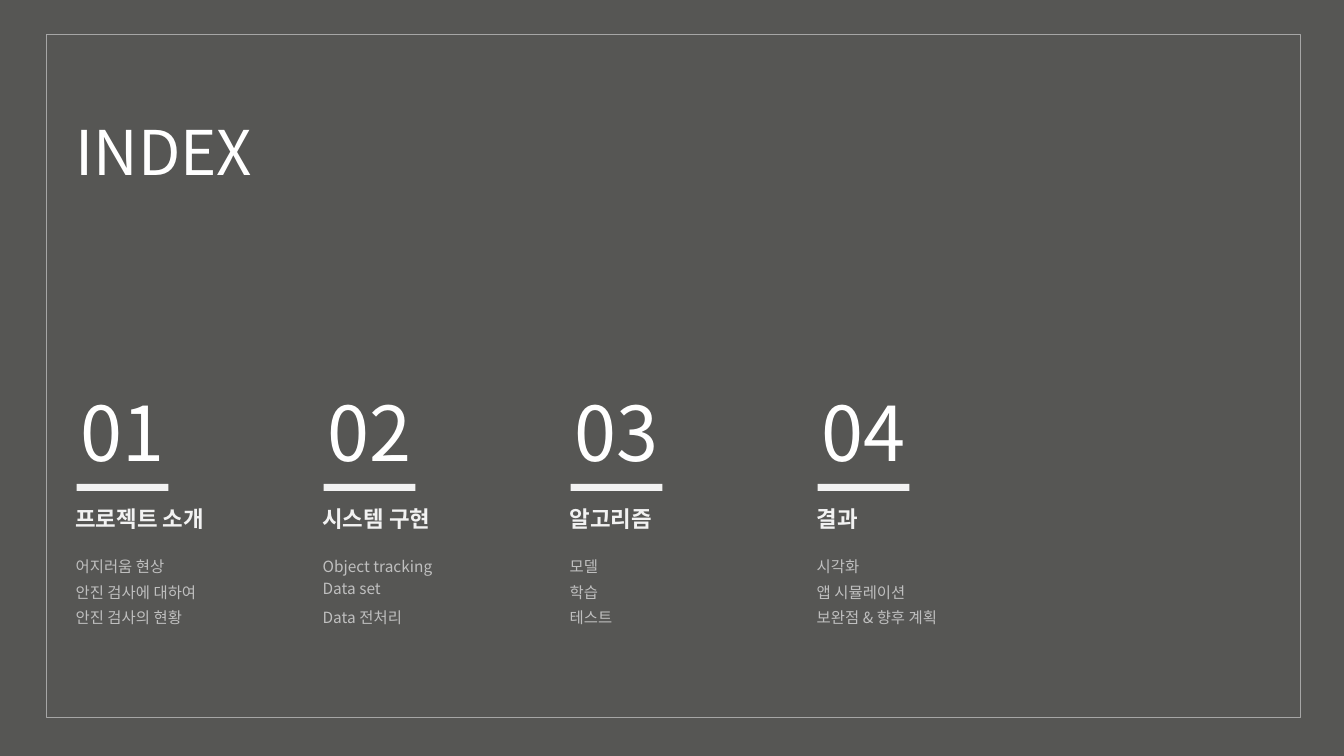
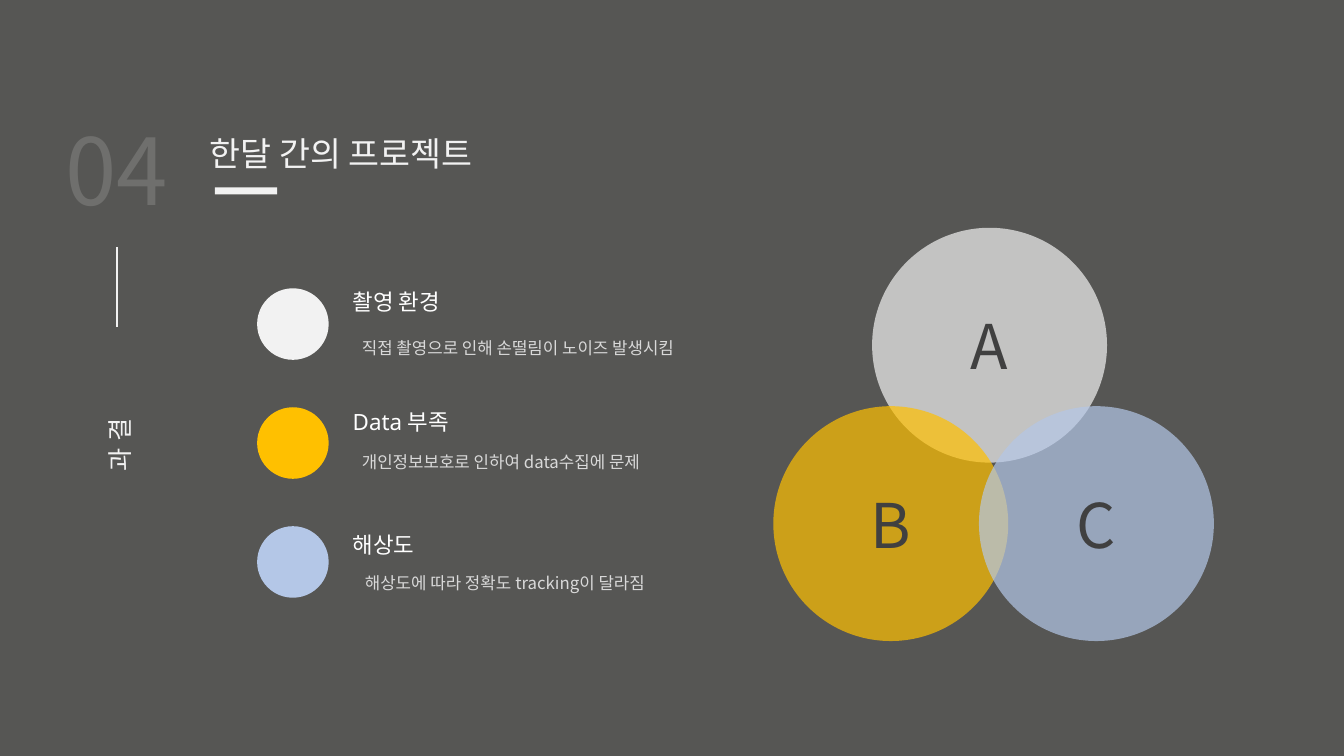
"""Build an index slide and a project review slide."""
from lxml.etree import SubElement
from pptx import Presentation
from pptx.dml.color import RGBColor
from pptx.enum.shapes import MSO_CONNECTOR, MSO_SHAPE
from pptx.enum.text import MSO_ANCHOR, MSO_AUTO_SIZE, PP_ALIGN
from pptx.oxml.ns import qn
from pptx.util import Pt

PX = 9144
KOREAN, LATIN = "Noto Sans CJK KR", "Noto Sans"
GROUND, WHITE, PALE, GOLD, BLUE = "565654", "FFFFFF", "F2F2F2", "FFC000", "B4C7E7"
FRAME, ITEM, DETAIL, LETTER, FADED = "A6A6A6", "BFBFBF", "D9D9D9", "404040", "6F6F6D"


def write(shape, box, text, size, color, font=KOREAN, bold=False,
          align=PP_ALIGN.LEFT, anchor=MSO_ANCHOR.TOP, gaps=(0,)):
    shape.left, shape.top, shape.width, shape.height = [length * PX for length in box]
    frame = shape.text_frame
    frame.text = text
    frame.word_wrap = True
    frame.auto_size = MSO_AUTO_SIZE.NONE
    frame.vertical_anchor = anchor
    for para, gap in zip(frame.paragraphs, gaps):
        para.alignment = align
        para.space_before = Pt(gap)
        properties = para._p.get_or_add_pPr()
        properties.set("marL", "0")
        properties.set("indent", "0")
        SubElement(properties, qn("a:buNone"))
        for span in para.runs:
            span.font.size = Pt(size)
            span.font.bold = bold
            span.font.color.rgb = RGBColor.from_string(color)
            span.font.name = font
            SubElement(span._r.get_or_add_rPr(), qn("a:ea"), typeface=KOREAN)


def draw(page, kind, box, fill=None):
    shape = page.shapes.add_shape(kind, *[length * PX for length in box])
    shape.shadow.inherit = False
    shape.line.fill.background()
    if fill:
        shape.fill.solid()
        shape.fill.fore_color.rgb = RGBColor.from_string(fill)
    else:
        shape.fill.background()
    return shape


deck = Presentation()
deck.slide_width, deck.slide_height = 1333 * PX, 750 * PX
ground = deck.slide_master.background.fill
ground.solid()
ground.fore_color.rgb = RGBColor.from_string(GROUND)

page = deck.slides.add_slide(deck.slide_layouts.get_by_name("Comparison"))
write(page.shapes.title, (65, 108, 314, 84), "INDEX", 44, WHITE)
chapters = [
    ("프로젝트 소개", "어지러움 현상\n안진 검사에 대하여\n안진 검사의 현황", (0, 5, 5)),
    ("시스템 구현", "Object tracking\nData set\nData 전처리", (0, 2, 8)),
    ("알고리즘", "모델\n학습\n테스트", (0, 5, 5)),
    ("결과", "시각화\n앱 시뮬레이션\n보완점 & 향후 계획", (0, 5, 5)),
]
for index, (heading, items, gaps) in enumerate(chapters):
    left = 65 + 245 * index
    number = page.shapes.add_textbox(0, 0, 0, 0)
    write(number, (left - 14, 378, 141, 101), f"{index + 1:02}", 54, WHITE, align=PP_ALIGN.CENTER)
    draw(page, MSO_SHAPE.RECTANGLE, (left + 11, 480, 91, 7), PALE)
    label = page.shapes.add_textbox(0, 0, 0, 0)
    write(label, (left, 496, 202, 37), heading, 16, PALE, LATIN, bold=True)
    write(page.placeholders[index + 1], (left, 548, 202, 87), items, 11, ITEM, gaps=gaps)
border = draw(page, MSO_SHAPE.RECTANGLE, (46, 34, 1244, 678))
border.line.color.rgb = RGBColor.from_string(FRAME)
border.line.width = Pt(1)

page = deck.slides.add_slide(deck.slide_layouts.get_by_name("Title Only"))
write(page.shapes.title, (198, 127, 673, 50), "한달 간의 프로젝트", 24, PALE)
draw(page, MSO_SHAPE.RECTANGLE, (213, 186, 62, 7), PALE)
number = page.shapes.add_textbox(0, 0, 0, 0)
write(number, (31, 107, 170, 122), "04", 66, FADED, align=PP_ALIGN.CENTER)
rule = page.shapes.add_connector(MSO_CONNECTOR.STRAIGHT, 116 * PX, 245 * PX, 116 * PX, 324 * PX)
rule.line.color.rgb = RGBColor.from_string(PALE)
rule.line.width = Pt(1)
SubElement(rule._element.spPr, qn("a:effectLst"))
chapter = page.shapes.add_textbox(0, 0, 0, 0)
write(chapter, (76, 428, 81, 40), "결과", 18, PALE)
chapter.rotation = 270
chapter.text_frame._txBody.bodyPr.set("vert", "eaVert")

for letter, left, top, color in [("A", 865, 226, PALE), ("B", 767, 403, GOLD), ("C", 971, 403, BLUE)]:
    box = (left, top, 233, 233)
    circle = draw(page, MSO_SHAPE.OVAL, box, color)
    SubElement(circle.fill.fore_color._xFill.find(qn("a:srgbClr")), qn("a:alpha"), val="70000") \
        if hasattr(circle.fill.fore_color, "_xFill") else \
        SubElement(circle._element.spPr.find(qn("a:solidFill"))[0], qn("a:alpha"), val="70000")
    write(circle, box, letter, 44, LETTER, align=PP_ALIGN.CENTER, anchor=MSO_ANCHOR.MIDDLE)

problems = [
    ("촬영 환경", 281, "직접 촬영으로 인해 손떨림이 노이즈 발생시킴", 349, 330, PALE),
    ("Data 부족", 400, "개인정보보호로 인하여 data수집에 문제", 349, 443, GOLD),
    ("해상도", 522, "해상도에 따라 정확도 tracking이 달라짐", 352, 563, BLUE),
]
for index, (heading, heading_top, detail, detail_left, detail_top, color) in enumerate(problems):
    draw(page, MSO_SHAPE.OVAL, (255, 286 + 118 * index, 71, 71), color)
    label = page.shapes.add_textbox(0, 0, 0, 0)
    write(label, (340, heading_top, 128, 37), heading, 16, WHITE, LATIN)
    note = page.shapes.add_textbox(0, 0, 0, 0)
    write(note, (detail_left, detail_top, 395, 30), detail, 12, DETAIL)

deck.save("out.pptx")
